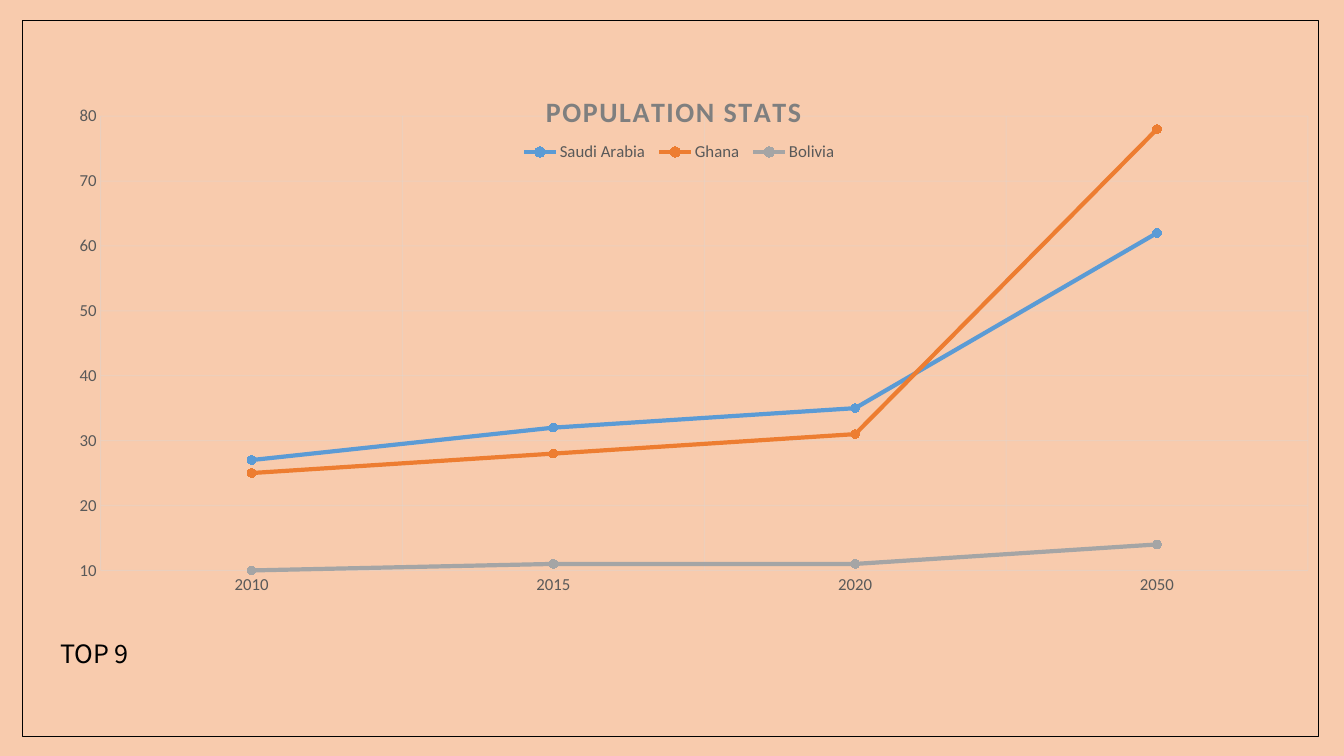
from dataclasses import dataclass

from lxml.etree import SubElement
from pptx import Presentation
from pptx.chart.data import CategoryChartData as ChartData
from pptx.dml.color import RGBColor
from pptx.enum.chart import XL_CHART_TYPE as Kind
from pptx.enum.chart import XL_LEGEND_POSITION as Place
from pptx.enum.chart import XL_MARKER_STYLE as Mark
from pptx.enum.chart import XL_TICK_MARK as Tick
from pptx.enum.shapes import MSO_SHAPE as Form
from pptx.enum.text import MSO_AUTO_SIZE as Fit
from pptx.oxml import parse_xml
from pptx.oxml.ns import nsdecls, qn
from pptx.util import Pt

PEACH = RGBColor(0xF8, 0xCB, 0xAD)
BLACK = RGBColor(0, 0, 0)
BLUE = RGBColor(0x5B, 0x9B, 0xD5)
ORANGE = RGBColor(0xED, 0x7D, 0x31)
SILVER = RGBColor(0xA5, 0xA5, 0xA5)
PALE = RGBColor(0xD9, 0xD9, 0xD9)
GREY = RGBColor(0x7F, 0x7F, 0x7F)
DARK = RGBColor(0x59, 0x59, 0x59)
FONT = "Calibri"


@dataclass(frozen=True)
class Land:
    """One country with its line colour and its yearly values."""

    name: str
    color: RGBColor
    vals: tuple[float, ...]


YEARS = ("2010", "2015", "2020", "2050")
LANDS = (
    Land("Saudi Arabia", BLUE, (27, 32, 35, 62)),
    Land("Ghana", ORANGE, (25, 28, 31, 78)),
    Land("Bolivia", SILVER, (10, 11, 11, 14)),
)


def style(font, size: float, color: RGBColor, face: str = FONT, bold: bool = False) -> None:
    """Set the size, colour, face and weight of a font."""
    font.size, font.name, font.bold = Pt(size), face, bold
    font.color.rgb = color


def write(frame, text: str, **form) -> None:
    """Put one formatted run in a text frame."""
    run = frame.paragraphs[0].add_run()
    run.text = text
    style(run.font, **form)


def stroke(line, color: RGBColor, width: float) -> None:
    """Set the colour and width of a line."""
    line.color.rgb, line.width = color, Pt(width)


def lay(node, index: int, **spots: float) -> None:
    """Give a chart part a fixed layout in chart fractions."""
    for old in node.findall(qn("c:layout")):
        node.remove(old)
    inner = '<c:layoutTarget val="inner"/>' if index == 0 else ""
    modes = "".join(f'<c:{key}Mode val="edge"/>' for key in ("x", "y"))
    sizes = "".join(f'<c:{key} val="{val}"/>' for key, val in spots.items())
    node.insert(index, parse_xml(
        f'<c:layout {nsdecls("c")}><c:manualLayout>{inner}{modes}{sizes}'
        "</c:manualLayout></c:layout>"))


def rule(axis) -> None:
    """Style an axis, its labels and its grid."""
    axis.major_tick_mark = axis.minor_tick_mark = Tick.NONE
    axis.has_major_gridlines = True
    style(axis.tick_labels.font, 12, DARK)
    stroke(axis.format.line, PALE, 0.25)
    stroke(axis.major_gridlines.format.line, PALE, 0.75)


def plot(slide) -> None:
    """Draw the population chart."""
    data = ChartData()
    data.categories = YEARS
    for land in LANDS:
        data.add_series(land.name, land.vals)
    chart = slide.shapes.add_chart(
        Kind.LINE_MARKERS, Pt(36), Pt(40.3), Pt(898.6), Pt(427), data).chart
    style(chart.font, 10, BLACK)
    chart.plots[0].vary_by_categories = False
    for land, line in zip(LANDS, chart.plots[0].series):
        line.smooth = False
        stroke(line.format.line, land.color, 3)
        line.marker.style, line.marker.size = Mark.CIRCLE, 6
        line.marker.format.fill.solid()
        line.marker.format.fill.fore_color.rgb = land.color
        stroke(line.marker.format.line, land.color, 0.75)
    rule(chart.category_axis)
    rule(chart.value_axis)
    chart.value_axis.minimum_scale = 10
    chart.value_axis.maximum_scale = 80
    chart.value_axis.major_unit = 10

    chart.has_title = chart.has_legend = True
    write(chart.chart_title.text_frame, "POPULATION STATS", size=20, color=GREY, bold=True)
    chart.chart_title.include_in_layout = False
    chart.legend.position = Place.TOP
    chart.legend.include_in_layout = False
    style(chart.legend.font, 12, DARK)

    root = chart.element
    for face in root.xpath(".//c:title//a:rPr"):
        face.set("spc", "100")
    for tone in root.xpath(".//c:majorGridlines//a:srgbClr | .//c:valAx/c:spPr//a:srgbClr"
                           " | .//c:catAx/c:spPr//a:srgbClr"):
        SubElement(tone, qn("a:alpha")).set("val", "32000")
    lay(root.xpath(".//c:plotArea")[0], 0, x=0.04, y=0.1, w=0.96, h=0.76)
    lay(root.xpath(".//c:title")[0], 1, x=0.39, y=0.05)
    lay(root.xpath(".//c:legend")[0], 1, x=0.37, y=0.14, w=0.26, h=0.04)


def main() -> None:
    """Build and save the slide."""
    deck = Presentation()
    deck.slide_width, deck.slide_height = Pt(960), Pt(540)
    slide = deck.slides.add_slide(deck.slide_layouts[6])
    slide.background.fill.solid()
    slide.background.fill.fore_color.rgb = PEACH

    frame = slide.shapes.add_shape(Form.RECTANGLE, Pt(15.8), Pt(14.4), Pt(926), Pt(512))
    frame.shadow.inherit = False
    frame.fill.background()
    stroke(frame.line, BLACK, 0.75)

    plot(slide)

    label = slide.shapes.add_textbox(Pt(36), Pt(452.2), Pt(151.2), Pt(28.8)).text_frame
    label.word_wrap, label.auto_size = True, Fit.SHAPE_TO_FIT_TEXT
    write(label, "TOP 9", size=18, color=BLACK, face="Noto Sans CJK SC")
    deck.save("out.pptx")


main()
